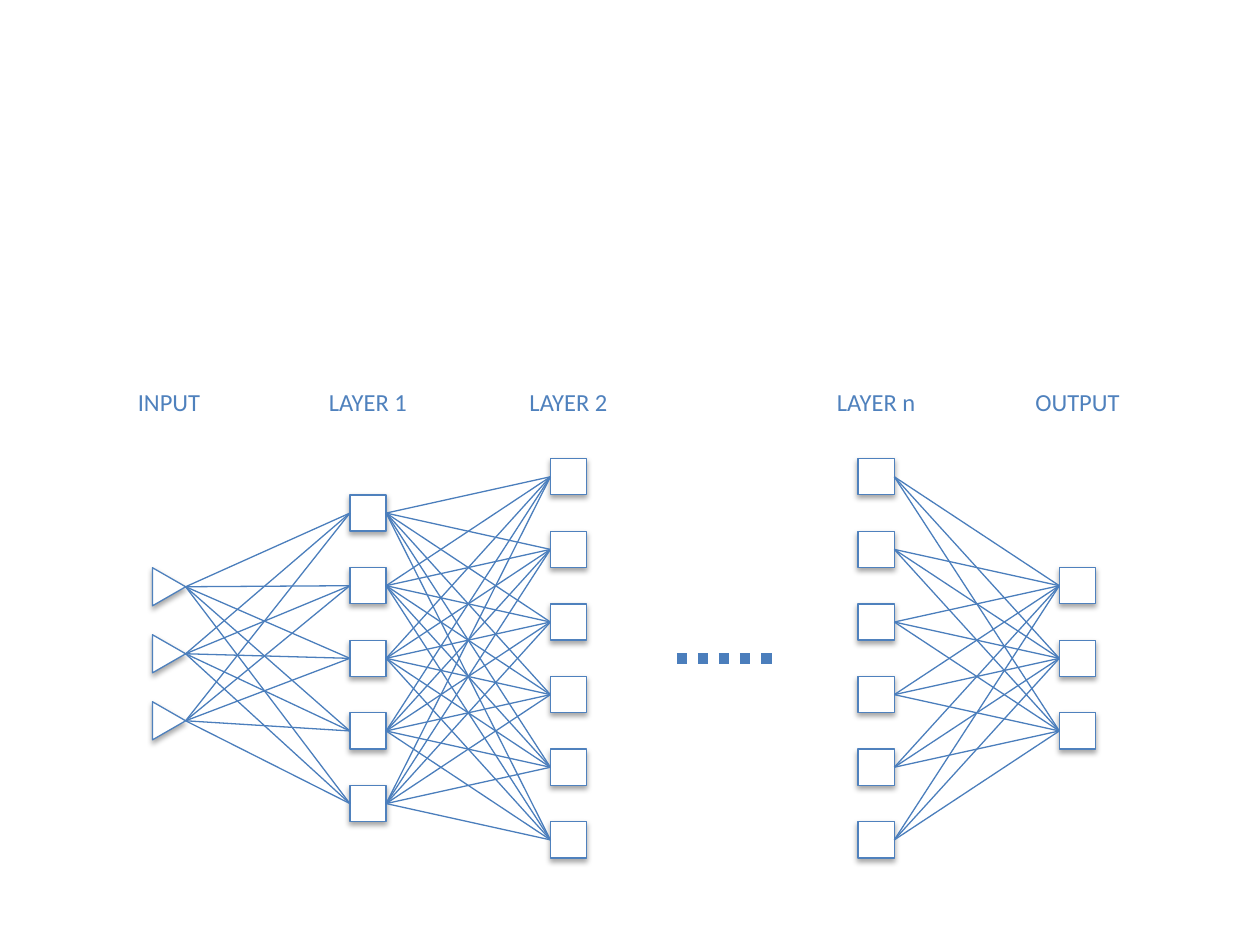
import dataclasses
import itertools

import lxml.etree
import pptx
import pptx.dml.color
import pptx.enum.dml
import pptx.enum.shapes
import pptx.enum.text
import pptx.oxml.ns
import pptx.util

Pt = pptx.util.Pt
SHAPE = pptx.enum.shapes.MSO_SHAPE
RIGHT, LEFT = 3, 1


@dataclasses.dataclass(frozen=True)
class Theme:
    outline: str = "4F81BD"
    link: str = "4B7EBC"
    node: str = "FFFFFF"
    shadow: str = "000000"
    font: str = "Calibri"
    label_size: float = 14
    thin: float = 0.75
    thick: float = 6


def rgb(value):
    return pptx.dml.color.RGBColor.from_string(value)


def add_xml(parent, tag, **attributes):
    return lxml.etree.SubElement(parent, pptx.oxml.ns.qn(tag), attributes)


class NetworkSlide:
    def __init__(self, presentation, theme):
        self.theme = theme
        self.slide = presentation.slides.add_slide(presentation.slide_layouts[6])

    def node(self, kind, center_x, center_y, width, height, rotation=0):
        node = self.slide.shapes.add_shape(
            kind, Pt(center_x - width / 2), Pt(center_y - height / 2), Pt(width), Pt(height))
        node.rotation = rotation
        node.fill.solid()
        node.fill.fore_color.rgb = rgb(self.theme.node)
        node.line.color.rgb = rgb(self.theme.outline)
        node.line.width = Pt(self.theme.thin)
        node.shadow.inherit = False
        self.cast_shadow(node)
        return node

    def cast_shadow(self, node):
        """Drop a soft shadow straight down."""
        effects = node._element.spPr.find(pptx.oxml.ns.qn("a:effectLst"))
        shadow = add_xml(effects, "a:outerShdw", blurRad=str(Pt(3.1)), dist=str(Pt(1.8)),
                         dir="5400000", rotWithShape="0")
        color = add_xml(shadow, "a:srgbClr", val=self.theme.shadow)
        add_xml(color, "a:alpha", val="35000")

    def line(self, start, end, width, dash=None):
        line = self.slide.shapes.add_connector(
            pptx.enum.shapes.MSO_CONNECTOR.STRAIGHT, *map(Pt, start + end))
        line.line.color.rgb = rgb(self.theme.link)
        line.line.width = Pt(width)
        if dash is not None:
            line.line.dash_style = dash
        add_xml(line._element.spPr, "a:effectLst")
        return line

    def link_layers(self, sources, targets):
        """Link every source node to every target node."""
        for (source, start), (target, _) in itertools.product(sources, targets):
            link = self.line(start, start, self.theme.thin)
            if source.auto_shape_type == SHAPE.RECTANGLE:
                link.begin_connect(source, RIGHT)
            link.end_connect(target, LEFT)

    def label(self, text, center_x, top, width, height):
        label = self.slide.shapes.add_textbox(
            Pt(center_x - width / 2), Pt(top), Pt(width), Pt(height))
        frame = label.text_frame
        frame.text = text
        frame.word_wrap = False
        frame.auto_size = pptx.enum.text.MSO_AUTO_SIZE.SHAPE_TO_FIT_TEXT
        paragraph = frame.paragraphs[0]
        paragraph.alignment = pptx.enum.text.PP_ALIGN.CENTER
        font = paragraph.runs[0].font
        font.name = self.theme.font
        font.size = Pt(self.theme.label_size)
        font.color.rgb = rgb(self.theme.outline)

    def layer(self, kind, count, center_x, center_y, pitch, width, height, rotation=0):
        """Stack nodes about center_y; return each with its right-hand point."""
        reach = (height if rotation else width) / 2
        nodes = []
        for index in range(count):
            y = center_y + (index - (count - 1) / 2) * pitch
            node = self.node(kind, center_x, y, width, height, rotation)
            nodes.append((node, (center_x + reach, y)))
        return nodes


def main():
    presentation = pptx.Presentation()
    presentation.slide_width, presentation.slide_height = Pt(720), Pt(540)
    theme = Theme()
    network = NetworkSlide(presentation, theme)

    middle = 376.2
    triangle = (SHAPE.ISOSCELES_TRIANGLE, 373.6, 38.3, 21.8, 19, 90)
    square = (SHAPE.RECTANGLE, middle, 41.5, 20.7, 20.7)
    columns = [  # label, label width, node count, center x, node form
        ("INPUT", 50.4, 3, 96.6, triangle),
        ("LAYER 1", 59.8, 5, 210.3, square),
        ("LAYER 2", 59.8, 6, 324.9, square),
        ("LAYER n", 59.8, 6, 500.7, square),
        ("OUTPUT", 63.4, 3, 615.7, square),
    ]
    inputs, first, second, last, outputs = [
        network.layer(form[0], count, x, *form[1:])
        for _, _, count, x, form in columns]

    for sources, targets in ((inputs, first), (first, second), (last, outputs)):
        network.link_layers(sources, targets)
    network.line((386.8, middle), (441.4, middle), theme.thick,
                 pptx.enum.dml.MSO_LINE.ROUND_DOT)

    for text, width, _, x, _ in columns:
        network.label(text, x, 217.4, width, 24.2)

    presentation.save("out.pptx")


if __name__ == "__main__":
    main()
